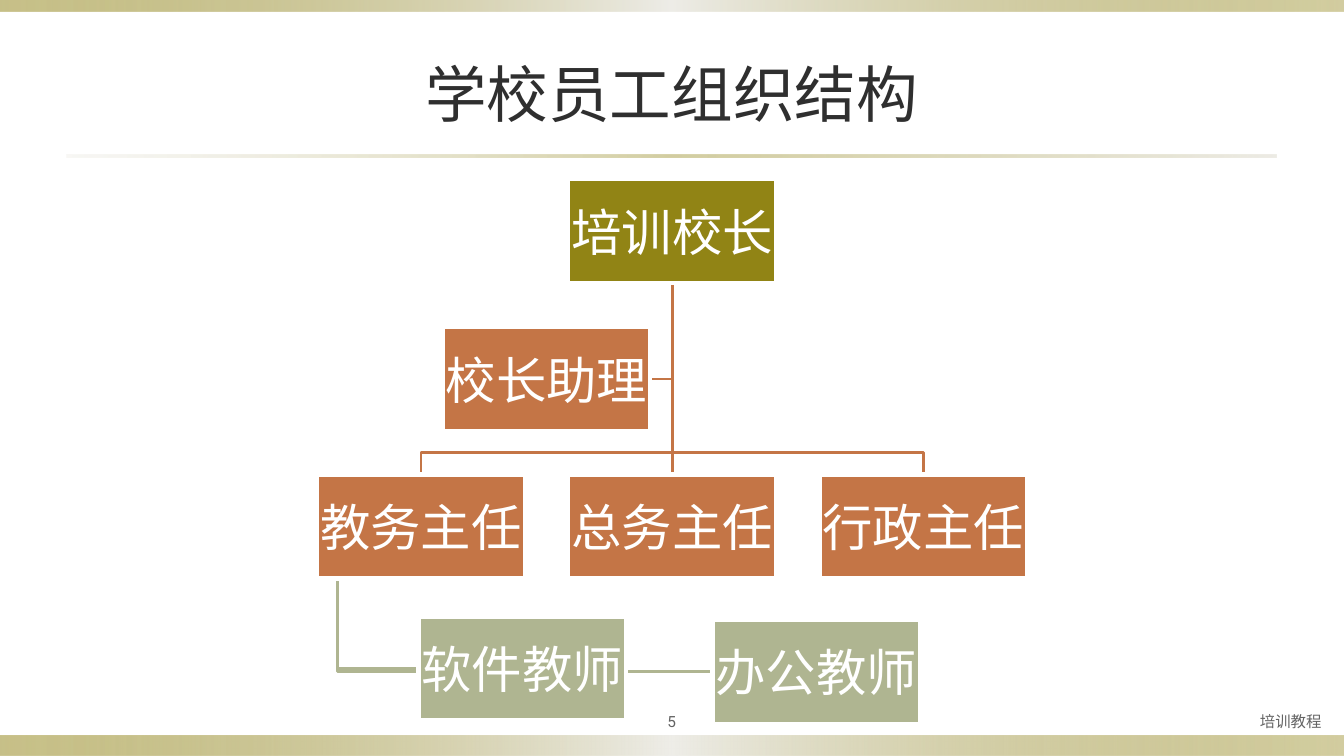
from lxml import etree
from pptx import Presentation
from pptx import util as u
from pptx.dml.color import RGBColor
from pptx.enum import shapes, text
from pptx.oxml import parse_xml
from pptx.oxml.ns import nsdecls, qn

OLIVE = RGBColor(0x91, 0x84, 0x15)
PALE = RGBColor(0xEE, 0xED, 0xE8)
SAND = RGBColor(0xDC, 0xD9, 0xCC)
RUST = RGBColor(0xC4, 0x75, 0x46)
SAGE = RGBColor(0xAF, 0xB5, 0x91)
WHITE = RGBColor(0xFF, 0xFF, 0xFF)
INK = RGBColor(0x2F, 0x2F, 0x2F)
GREY = RGBColor(0x63, 0x63, 0x63)

WIDTH, HEIGHT = 33.87, 19.05
BOX_WIDTH, BOX_HEIGHT = 5.23, 2.62
CENTER = 16.94
COLUMN_STEP = 6.33
TOP, ROW_STEP = 4.52, 3.72


class OrgSlide:
    """Style and drawing methods for the current slide; lengths in cm."""

    font_name = "Roboto"

    def __init__(self, presentation):
        self.slide = presentation.slides.add_slide(presentation.slide_layouts[5])
        self.shapes = self.slide.shapes

    def set_text(self, shape, words, size, color, align, margin=0.0, wrap=True):
        frame = shape.text_frame
        frame_format = {"word_wrap": wrap, "vertical_anchor": text.MSO_ANCHOR.MIDDLE,
                        "auto_size": text.MSO_AUTO_SIZE.NONE}
        for side in ("left", "right", "top", "bottom"):
            frame_format["margin_" + side] = u.Cm(margin)
        for name, value in frame_format.items():
            setattr(frame, name, value)
        paragraph = frame.paragraphs[0]
        paragraph.text = words
        paragraph.alignment = align
        font = paragraph.runs[0].font
        for name, value in {"name": self.font_name, "size": u.Pt(size), "bold": False}.items():
            setattr(font, name, value)
        font.color.rgb = color

    def title(self, words, left, top, width, height):
        shape = self.shapes.title
        place = {"left": left, "top": top, "width": width, "height": height}
        for name, value in place.items():
            setattr(shape, name, u.Cm(value))
        self.set_text(shape, words, 44, INK, text.PP_ALIGN.CENTER, 0.13)

    def rectangle(self, left, top, width, height):
        shape = self.shapes.add_shape(
            shapes.MSO_SHAPE.RECTANGLE, *map(u.Cm, (left, top, width, height)))
        shape.shadow.inherit = False
        return shape

    def band(self, left, top, width, height, stops):
        shape = self.rectangle(left, top, width, height)
        shape.line.fill.background()
        stop_xml = "".join(
            f'<a:gs pos="{position * 1000}"><a:srgbClr val="{color}">'
            f'<a:alpha val="{opacity * 1000}"/></a:srgbClr></a:gs>'
            for position, color, opacity in stops)
        gradient = parse_xml(
            f'<a:gradFill {nsdecls("a")} rotWithShape="1"><a:gsLst>{stop_xml}</a:gsLst>'
            '<a:lin ang="0" scaled="0"/></a:gradFill>')
        shape._element.spPr.find(qn("a:prstGeom")).addnext(gradient)

    def box(self, words, center, top, color):
        shape = self.rectangle(center - BOX_WIDTH / 2, top, BOX_WIDTH, BOX_HEIGHT)
        shape.fill.solid()
        shape.fill.fore_color.rgb = color
        self.outline(shape, WHITE, 3)
        self.set_text(shape, words, 36, WHITE, text.PP_ALIGN.CENTER, 0.06, wrap=False)

    def outline(self, shape, color, width):
        shape.line.color.rgb = color
        shape.line.width = u.Pt(width)

    def elbow(self, points, color):
        start, *rest = [(u.Cm(x), u.Cm(y)) for x, y in points]
        builder = self.shapes.build_freeform(*start)
        builder.add_line_segments(rest, close=False)
        shape = builder.convert_to_shape()
        shape.shadow.inherit = False
        shape.fill.background()
        self.outline(shape, color, 2)

    def straight(self, x1, y1, x2, y2, color):
        line = self.shapes.add_connector(
            shapes.MSO_CONNECTOR.STRAIGHT, *map(u.Cm, (x1, y1, x2, y2)))
        self.outline(line, color, 2)
        etree.SubElement(line._element.spPr, qn("a:effectLst"))

    def label(self, words, left, top, width, height, align, margin):
        shape = self.shapes.add_textbox(*map(u.Cm, (left, top, width, height)))
        self.set_text(shape, words, 11, GREY, align, margin)


def main():
    presentation = Presentation()
    presentation.slide_width = u.Cm(WIDTH)
    presentation.slide_height = u.Cm(HEIGHT)
    page = OrgSlide(presentation)

    # Decorative bands and title
    edge = [(0, OLIVE, 50), (50, PALE, 100), (100, OLIVE, 40)]
    rule = [(0, SAND, 20), (50, OLIVE, 40), (100, SAND, 50)]
    page.band(0, 18.54, WIDTH, 0.51, edge)
    page.band(0, 0, WIDTH, 0.3, edge)
    page.band(1.69, 3.9, 30.48, 0.06, rule)
    page.title("学校员工组织结构", 1.69, 0.76, 30.48, 3.18)

    # Positions of the chart levels
    head_bottom = TOP + BOX_HEIGHT
    assistant_top, director_top = TOP + ROW_STEP, TOP + 2 * ROW_STEP
    assistant_center = CENTER - COLUMN_STEP / 2
    assistant_middle = assistant_top + BOX_HEIGHT / 2
    bus = director_top - 0.56
    columns = [CENTER + step * COLUMN_STEP for step in (-1, 0, 1)]
    teachers = [("软件教师", 13.16, 15.54), ("办公教师", 20.57, 15.62)]

    # Connecting lines
    for column in (columns[0], columns[2]):
        page.elbow([(CENTER, head_bottom), (CENTER, bus), (column, bus),
                    (column, director_top)], RUST)
    page.straight(CENTER, head_bottom, CENTER, director_top, RUST)
    page.elbow([(CENTER, head_bottom), (CENTER, assistant_middle),
                (assistant_center + BOX_WIDTH / 2, assistant_middle)], RUST)
    stem = columns[0] - BOX_WIDTH / 2 + 0.52
    for _, center, top in teachers:
        middle = top + BOX_HEIGHT / 2
        page.elbow([(stem, director_top + BOX_HEIGHT), (stem, middle),
                    (center - BOX_WIDTH / 2, middle)], SAGE)

    # Staff boxes
    page.box("培训校长", CENTER, TOP, OLIVE)
    page.box("校长助理", assistant_center, assistant_top, RUST)
    for words, column in zip(("教务主任", "总务主任", "行政主任"), columns):
        page.box(words, column, director_top, RUST)
    for words, center, top in teachers:
        page.box(words, center, top, SAGE)

    # Page number and footer
    page.label("5", 15.24, 17.78, 3.38, 0.79, text.PP_ALIGN.CENTER, 0.13)
    page.label("培训教程", 19.74, 17.78, 13.82, 0.79, text.PP_ALIGN.RIGHT, 0.25)

    presentation.save("out.pptx")


if __name__ == "__main__":
    main()
